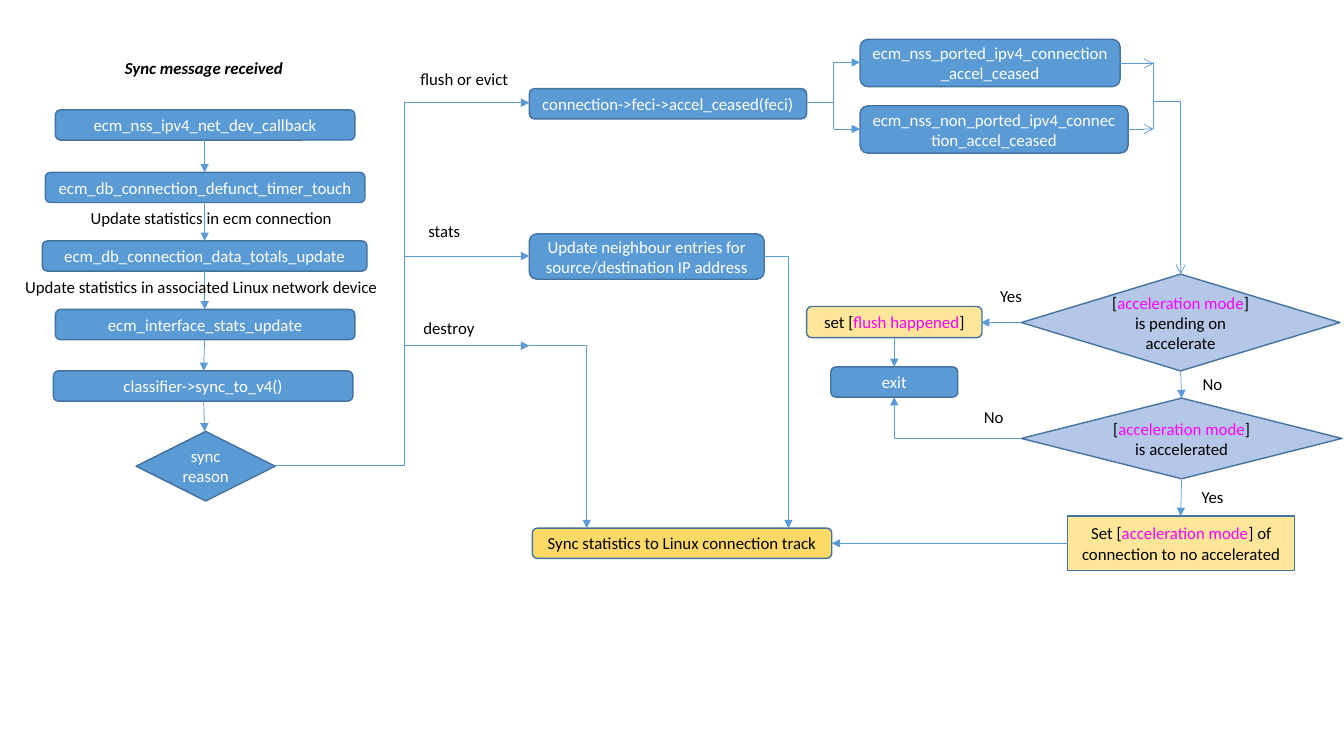
from dataclasses import dataclass

from lxml.etree import SubElement
from pptx import Presentation
from pptx.dml.color import RGBColor
from pptx.enum.shapes import MSO_CONNECTOR as Conn, MSO_SHAPE as Kind
from pptx.enum.text import MSO_ANCHOR as Anchor, MSO_AUTO_SIZE as Fit, PP_ALIGN as Align
from pptx.oxml.ns import qn
from pptx.util import Emu, Pt

SCALE = 9144  # 100 px to the inch
BLUE, EDGE, PALE = "5B9BD5", "43739E", "B4C7E7"
GOLD, CREAM = "FFD966", "FFE699"
WHITE, BLACK, PINK = "FFFFFF", "000000", "FF00FF"
ROUND, RECT, CHOICE = Kind.ROUNDED_RECTANGLE, Kind.RECTANGLE, Kind.FLOWCHART_DECISION


@dataclass
class Box:
    """A flow step; parts of the text between bars are pink."""
    x: int
    y: int
    w: int
    h: int
    text: str
    fill: str = BLUE
    kind: Kind = ROUND


@dataclass
class Label:
    x: int
    y: int
    w: int
    text: str
    strong: bool = False


@dataclass
class Line:
    x1: int
    y1: int
    x2: int
    y2: int
    tip: str = "triangle"
    bent: bool = False


BOXES = [
    # Sync message column
    Box(55, 109, 297, 30, "ecm_nss_ipv4_net_dev_callback"),
    Box(45, 171, 317, 30, "ecm_db_connection_defunct_timer_touch"),
    Box(42, 239, 322, 30, "ecm_db_connection_data_totals_update"),
    Box(55, 307, 297, 30, "ecm_interface_stats_update"),
    Box(53, 368, 297, 30, "classifier->sync_to_v4()"),
    Box(135, 428, 138, 69, "sync reason", kind=CHOICE),
    # Sync reasons
    Box(525, 88, 275, 30, "connection->feci->accel_ceased(feci)"),
    Box(525, 232, 233, 45, "Update neighbour entries for source/destination IP address"),
    Box(528, 524, 297, 30, "Sync statistics to Linux connection track", GOLD),
    # Acceleration ceased
    Box(853, 39, 258, 47, "ecm_nss_ported_ipv4_connection_accel_ceased"),
    Box(853, 105, 266, 47, "ecm_nss_non_ported_ipv4_connection_accel_ceased"),
    # Acceleration mode checks
    Box(1013, 272, 316, 96, "[|acceleration mode|] is pending on accelerate", PALE, CHOICE),
    Box(1013, 395, 318, 80, "[|acceleration mode|] is accelerated", PALE, CHOICE),
    Box(800, 304, 174, 31, "set [|flush happened|]", CREAM),
    Box(824, 364, 126, 30, "exit"),
    Box(1059, 512, 225, 54, "Set [|acceleration mode|] of connection to no accelerated",
        CREAM, RECT),
]

LINES = [
    # Down the first column
    Line(203, 139, 203, 171),
    Line(203, 200, 203, 239),
    Line(203, 269, 203, 307),
    Line(203, 337, 202, 368),
    Line(202, 397, 203, 428),
    # Out to the three reasons
    Line(272, 462, 401, 462, ""),
    Line(401, 102, 401, 462, ""),
    *(Line(401, y, 525, y) for y in (102, 254, 343)),
    Line(758, 254, 782, 524, bent=True),
    Line(525, 343, 582, 524, bent=True),
    # Split and join around the ceased calls
    Line(800, 102, 827, 102, ""),
    *(Line(x, 62, x, 128, "") for x in (827, 1144)),
    Line(827, 62, 853, 62),
    Line(827, 128, 853, 128),
    Line(1110, 63, 1144, 63, "arrow"),
    Line(1119, 128, 1144, 128, "arrow"),
    Line(1144, 101, 1171, 101, ""),
    Line(1171, 101, 1171, 272, "arrow"),
    # Between the checks and their results
    Line(1171, 368, 1172, 395),
    Line(1172, 475, 1171, 512),
    Line(1013, 320, 973, 320),
    Line(887, 335, 887, 364),
    Line(1013, 435, 887, 394, bent=True),
    Line(1059, 539, 825, 539),
]

LABELS = [
    Label(114, 52, 179, "Sync message received", True),
    Label(80, 201, 263, "Update statistics in ecm connection"),
    Label(15, 270, 374, "Update statistics in associated Linux network device"),
    Label(407, 63, 108, "flush or evict"),
    Label(415, 214, 52, "stats"),
    Label(410, 310, 71, "destroy"),
    Label(982, 279, 42, "Yes"),
    Label(1183, 366, 40, "No"),
    Label(966, 399, 40, "No"),
    Label(1182, 478, 42, "Yes"),
]


def px(*vals: int) -> list[Emu]:
    return [Emu(val * SCALE) for val in vals]


def paint(part, tone: str) -> None:
    """Give a fill or a font a solid colour."""
    if hasattr(part, "solid"):
        part.solid()
        part = part.fore_color
    else:
        part = part.color
    part.rgb = RGBColor.from_string(tone)


def write(frame, text: str, tone: str, strong: bool = False) -> None:
    first, *rest = text.split("|")
    frame.text = first
    para = frame.paragraphs[0]
    for part in rest:
        para.add_run().text = part
    for num, run in enumerate(para.runs):
        font = run.font
        font.name, font.size = "Calibri", Pt(12)
        if strong:
            font.bold = font.italic = True
        paint(font, PINK if num % 2 else tone)


def draw_box(shapes, box: Box) -> None:
    shape = shapes.add_shape(box.kind, *px(box.x, box.y, box.w, box.h))
    shape.shadow.inherit = False
    paint(shape.fill, box.fill)
    paint(shape.line.fill, EDGE)
    shape.line.width = Pt(1)
    frame = shape.text_frame
    frame.word_wrap = True
    frame.vertical_anchor = Anchor.MIDDLE
    write(frame, box.text, WHITE if box.fill == BLUE else BLACK)
    frame.paragraphs[0].alignment = Align.CENTER


def draw_line(shapes, line: Line) -> None:
    kind = Conn.ELBOW if line.bent else Conn.STRAIGHT
    wire = shapes.add_connector(kind, *px(line.x1, line.y1, line.x2, line.y2))
    paint(wire.line.fill, BLUE)
    wire.line.width = Pt(0.5)
    props = wire._element.spPr
    if line.bent:  # one corner: across, then up or down
        props.find(qn("a:prstGeom")).set("prst", "bentConnector2")
    if line.tip:
        SubElement(props.find(qn("a:ln")), qn("a:tailEnd"), type=line.tip)
    SubElement(props, qn("a:effectLst"))


def draw_label(shapes, label: Label) -> None:
    frame = shapes.add_textbox(*px(label.x, label.y, label.w, 30)).text_frame
    frame.word_wrap = False
    frame.auto_size = Fit.SHAPE_TO_FIT_TEXT
    write(frame, label.text, BLACK, label.strong)


def main() -> None:
    deck = Presentation()
    deck.slide_width, deck.slide_height = px(1333, 750)
    shapes = deck.slides.add_slide(deck.slide_layouts[6]).shapes
    for box in BOXES:
        draw_box(shapes, box)
    for line in LINES:
        draw_line(shapes, line)
    for label in LABELS:
        draw_label(shapes, label)
    deck.save("out.pptx")


if __name__ == "__main__":
    main()
